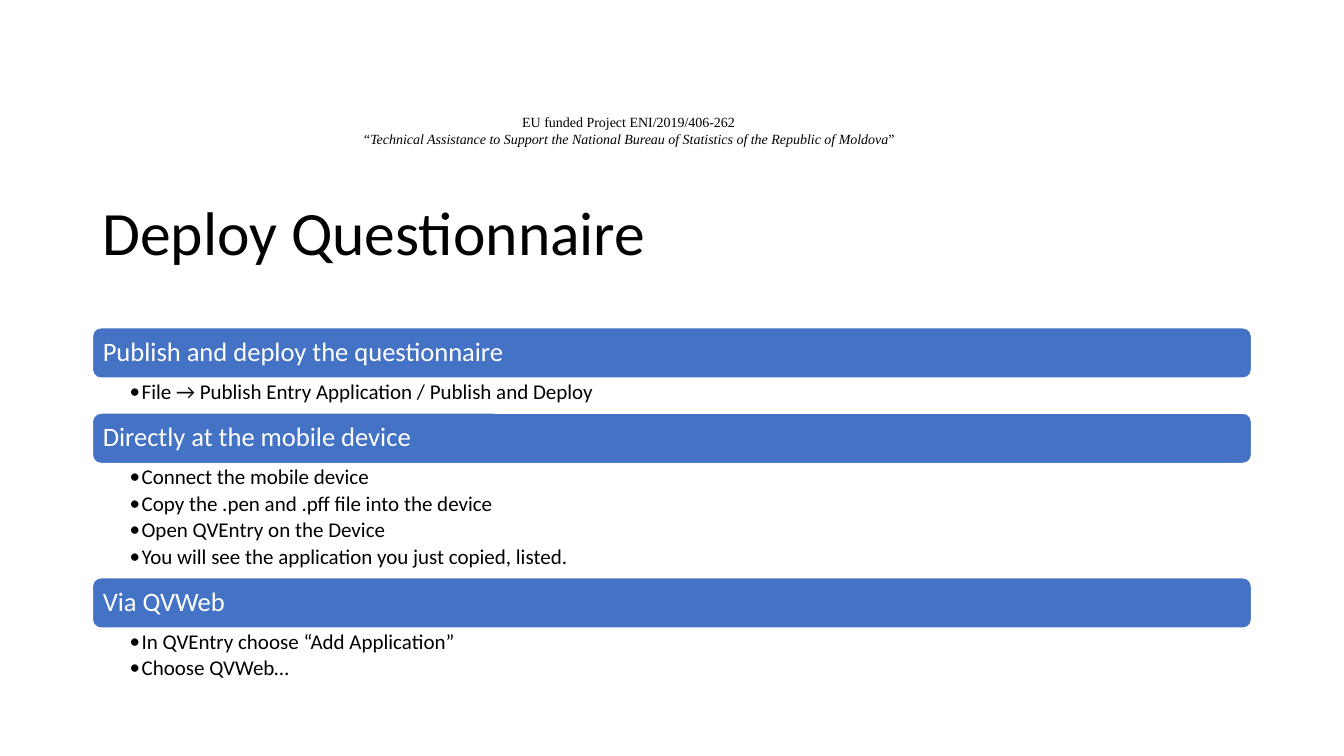
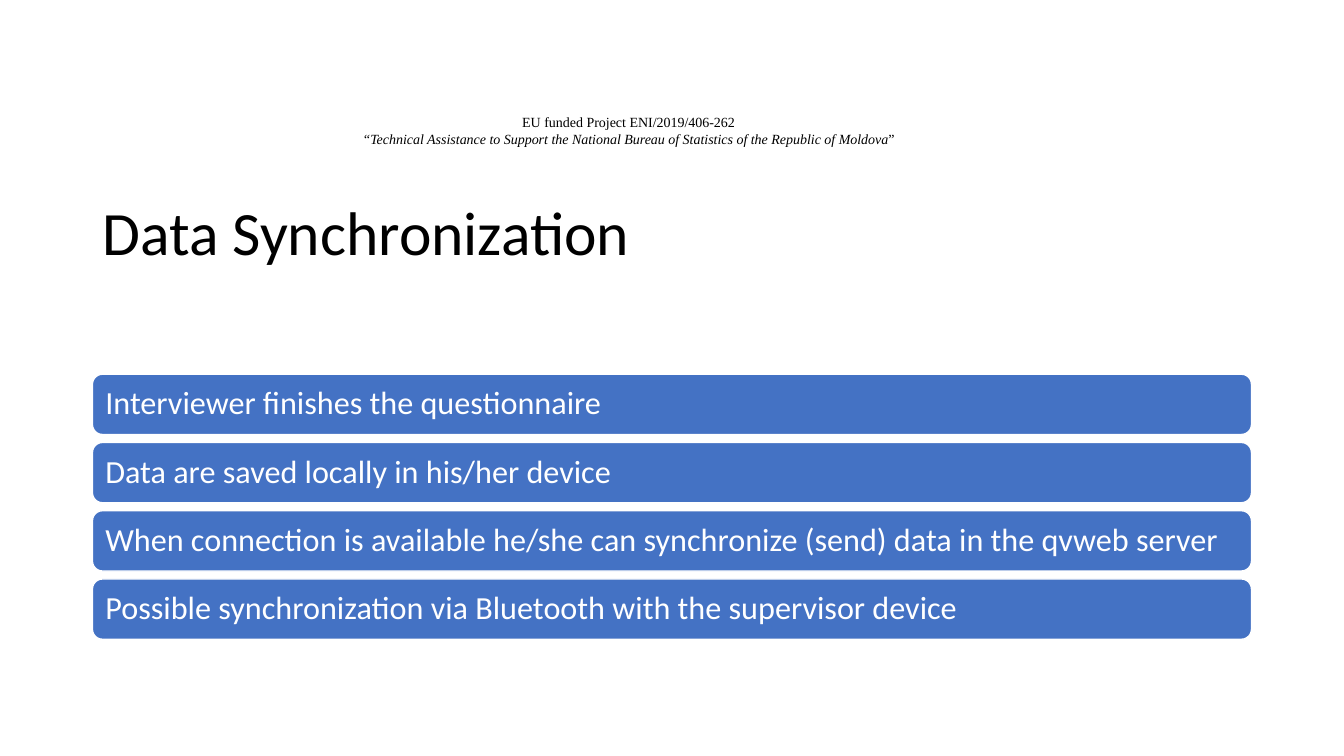
from pptx import Presentation
from pptx.dml.color import RGBColor
from pptx.enum.shapes import MSO_SHAPE as Shape
from pptx.enum.text import MSO_ANCHOR as Anchor, MSO_AUTO_SIZE as Fit, PP_ALIGN as Align
from pptx.util import Cm, Pt
from lxml.etree import SubElement

BLACK, WHITE, BLUE = "000000", "FFFFFF", "4472C4"
FONT = "Calibri"
LEFT, WIDTH = 2.33, 29.21
TITLE_ONLY = 5
HEADER = [
    [("EU funded Project ENI/2019/406-262", False)],
    [("“Technical Assistance to Support the National Bureau of Statistics"
      " of the Republic of Moldova", True), ("”", False)],
]
TOPICS = [
    ("Publish and deploy the questionnaire", 0.88,
     ["File → Publish Entry Application / Publish and Deploy"]),
    ("Directly at the mobile device", 2.88,
     ["Connect the mobile device",
      "Copy the .pen and .pff file into the device",
      "Open QVEntry on the Device",
      "You will see the application you just copied, listed."]),
    ("Via QVWeb", 1.44,
     ["In QVEntry choose “Add Application”", "Choose QVWeb…"]),
]
STEPS = [
    "Interviewer finishes the questionnaire",
    "Data are saved locally in his/her device",
    "When connection is available he/she can synchronize (send) data in the qvweb server",
    "Possible synchronization via Bluetooth with the supervisor device",
]


def paint(hue):
    """Turn a hex string into a colour."""
    return RGBColor.from_string(hue)


def place(box):
    """Turn a box in centimetres into lengths."""
    return [Cm(side) for side in box]


def dot(para):
    """Give a paragraph a hanging round bullet."""
    para.level = 1
    props = para._p.get_or_add_pPr()
    props.set("marL", str(Cm(0.3)))
    props.set("indent", str(-Cm(0.3)))
    SubElement(props, props.tag.replace("pPr", "buFont"), typeface=FONT)
    SubElement(props, props.tag.replace("pPr", "buChar"), char="•")


def write(frame, lines, size, hue=BLACK, font=FONT, align=Align.LEFT,
          anchor=Anchor.TOP, pads=(0.25, 0.13, 0.25, 0.13), space=0.9,
          after=0, bullet=False, fit=Fit.NONE):
    """Fill a text frame with lines, each a string or a list of (text, italic)."""
    frame.word_wrap, frame.auto_size = True, fit
    frame.vertical_anchor = anchor
    (frame.margin_left, frame.margin_top,
     frame.margin_right, frame.margin_bottom) = place(pads)
    for num, line in enumerate(lines):
        para = frame.add_paragraph() if num else frame.paragraphs[0]
        para.alignment, para.line_spacing = align, space
        para.space_before, para.space_after = Pt(0), Pt(after)
        if bullet:
            dot(para)
        for text, slant in [(line, False)] if isinstance(line, str) else line:
            run = para.add_run()
            run.text = text
            run.font.size, run.font.name = Pt(size), font
            run.font.italic = slant
            run.font.color.rgb = paint(hue)


def start(deck, title):
    """Add a slide with the shared header and title."""
    slide = deck.slides.add_slide(deck.slide_layouts[TITLE_ONLY])
    head = slide.shapes.add_textbox(*place((7.37, 2.74, 16.94, 1.12)))
    write(head.text_frame, HEADER, 10, font="Times New Roman",
          align=Align.CENTER, space=1.0, fit=Fit.SHAPE_TO_FIT_TEXT)
    name = slide.shapes.title
    name.left, name.top, name.width, name.height = place((LEFT, 4.09, WIDTH, 3.68))
    write(name.text_frame, [title], 44, anchor=Anchor.MIDDLE)
    return slide


def band(slide, box, text, size, pad):
    """Draw a rounded blue band with its text."""
    bar = slide.shapes.add_shape(Shape.ROUNDED_RECTANGLE, *place(box))
    bar.shadow.inherit = False
    bar.fill.solid()
    bar.fill.fore_color.rgb = paint(BLUE)
    bar.line.color.rgb = paint(WHITE)
    bar.line.width = Pt(1)
    write(bar.text_frame, [text], size, hue=WHITE, anchor=Anchor.MIDDLE,
          pads=(pad, 0, pad, 0))


def outline(slide, box, topics, high=1.27):
    """Stack bands, each followed by its bullet points."""
    left, top, width = box
    for text, tall, points in topics:
        band(slide, (left, top, width, high), text, 19, 0.2)
        top += high
        notes = slide.shapes.add_textbox(*place((left, top, width, tall)))
        write(notes.text_frame, points, 15, pads=(0.94, 0.07, 0.38, 0.07),
              after=2.8, bullet=True)
        top += tall


def stack(slide, box, steps, high=1.52, gap=0.2):
    """Stack bands at equal gaps."""
    left, top, width = box
    for num, text in enumerate(steps):
        band(slide, (left, top + num * (high + gap), width, high), text, 23, 0.25)


def main():
    """Build and save the deck."""
    deck = Presentation()
    deck.slide_width, deck.slide_height = Cm(33.87), Cm(19.05)
    outline(start(deck, "Deploy Questionnaire"), (LEFT, 8.26, WIDTH), TOPICS)
    stack(start(deck, "Data Synchronization"), (LEFT, 9.43, WIDTH), STEPS)
    deck.save("out.pptx")


if __name__ == "__main__":
    main()
